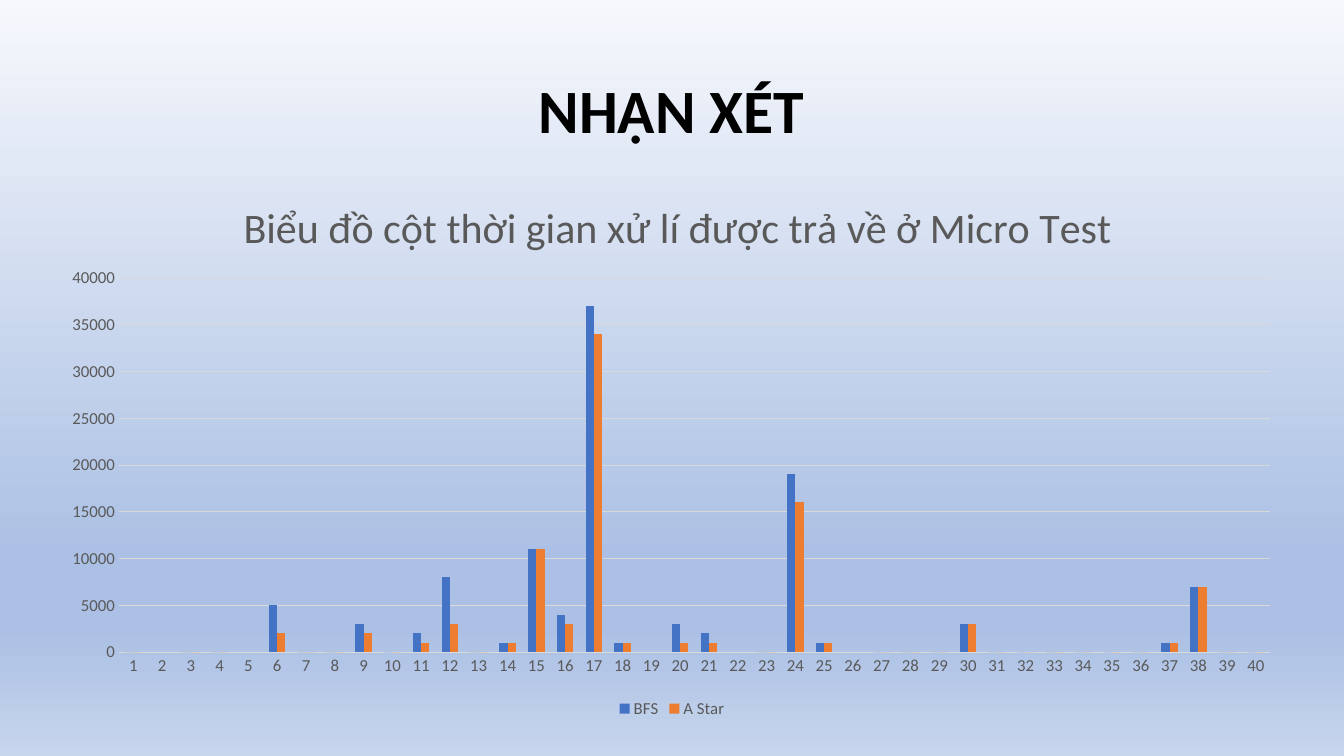
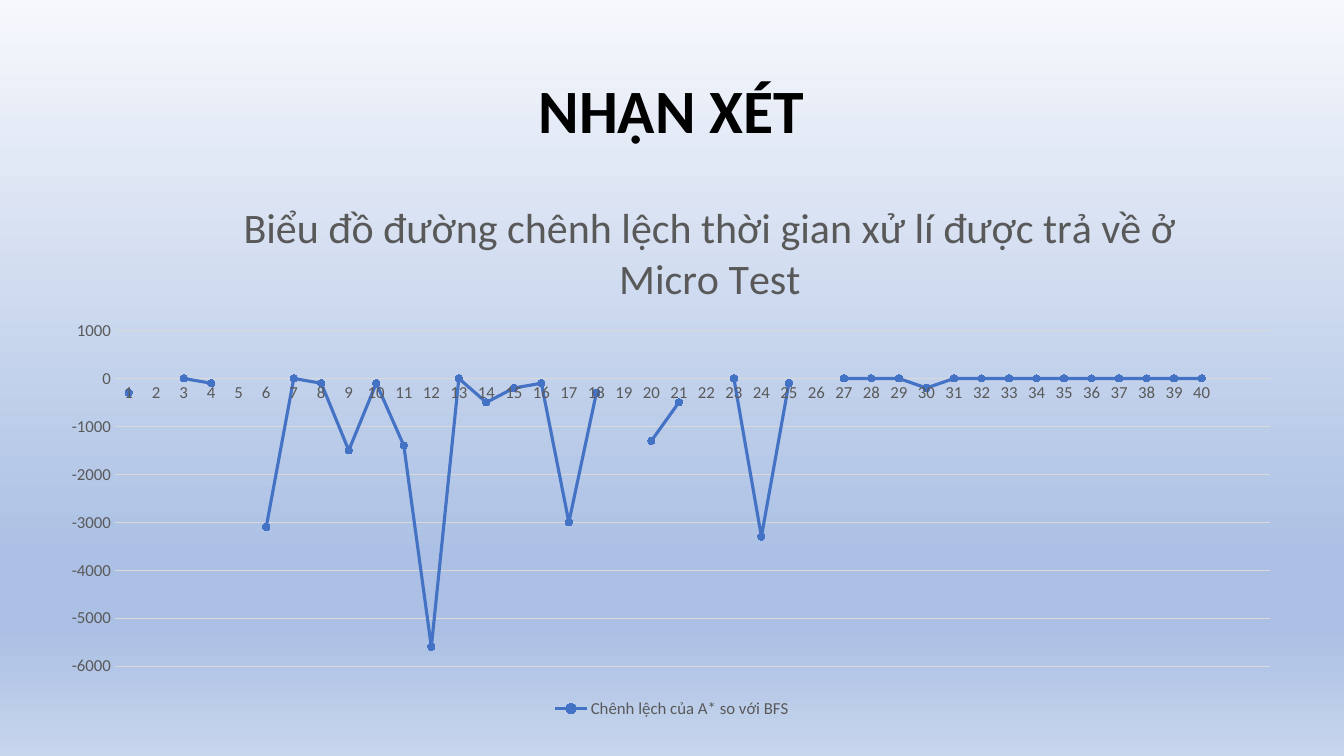
from lxml import etree
from pptx import Presentation
from pptx import util as u
from pptx.chart.data import CategoryChartData
from pptx.dml.color import RGBColor
from pptx.enum import chart as charts, text
from pptx.oxml.ns import qn

# Content
HEADING = "NHẬN XÉT"
TESTS = [str(number) for number in range(1, 41)]
N = None
BFS = [0, N, 0, 0, N, 5000, 0, 0, 3000, 0,
       2000, 8000, 0, 1000, 11000, 4000, 37000, 1000, N, 3000,
       2000, N, 0, 19000, 1000, N, 0, 0, 0, 3000,
       0, 0, 0, 0, 0, 0, 1000, 7000, 0, 0]
A_STAR = [0, N, 0, 0, N, 2000, 0, 0, 2000, 0,
          1000, 3000, 0, 1000, 11000, 3000, 34000, 1000, N, 1000,
          1000, N, 0, 16000, 1000, N, 0, 0, 0, 3000,
          0, 0, 0, 0, 0, 0, 1000, 7000, 0, 0]
DIFFERENCE = [-300, N, 0, -100, N, -3100, 0, -100, -1500, -100,
              -1400, -5600, 0, -500, -200, -100, -3000, -300, N, -1300,
              -500, N, 0, -3300, -100, N, 0, 0, 0, -200,
              0, 0, 0, 0, 0, 0, 0, 0, 0, 0]
# "plot" is left, top, width, height in inches inside the chart
SLIDES = [
    {"title": "Biểu đồ cột thời gian xử lí được trả về ở Micro Test",
     "type": charts.XL_CHART_TYPE.COLUMN_CLUSTERED, "categories": TESTS,
     "series": {"BFS": BFS, "A Star": A_STAR},
     "scale": (0, 40000, 5000), "plot": (0.71, 0.97, 11.42, 3.71)},
    {"title": "Biểu đồ đường chênh lệch thời gian xử lí được trả về ở Micro Test",
     "type": charts.XL_CHART_TYPE.LINE_MARKERS, "categories": TESTS + ["", ""],
     "series": {"Chênh lệch của A* so với BFS": DIFFERENCE + [N, N]},
     "scale": (-6000, 1000, 1000), "plot": (0.67, 1.49, 11.46, 3.33)},
]

# Shared look
FONT = "Calibri"
BLACK, GREY, GRID = "000000", "595959", "D9D9D9"
SERIES_COLORS = ["4472C4", "ED7D31"]
BACKGROUND = [(0, "F6F8FC"), (74, "ABC0E4"), (83, "ABC0E4"), (100, "C7D5ED")]
TITLE_BOX = (0.91, 0.4, 11.5, 1.45)
CHART_BOX = (0.47, 1.79, 12.39, 5.38)
CHART_TITLE_CORNER = (1.87, 0.1)


def color(value):
    return RGBColor.from_string(value)


def inches(box):
    return [u.Inches(value) for value in box]


def set_all(target, **values):
    for name, value in values.items():
        setattr(target, name, value)


def style_font(font, size, value, bold=False):
    set_all(font, name=FONT, size=u.Pt(size), bold=bold)
    font.color.rgb = color(value)


def style_line(line, value, width):
    line.color.rgb = color(value)
    line.width = u.Pt(width)


def paint_background(master):
    fill = master.background.fill
    fill.gradient()
    fill.gradient_angle = 270
    stops = master.element.find(".//" + qn("a:gsLst"))
    for stop in list(stops):
        stops.remove(stop)
    for position, value in BACKGROUND:
        stop = etree.SubElement(stops, qn("a:gs"), pos=str(position * 1000))
        etree.SubElement(stop, qn("a:srgbClr"), val=value)


def place_part(part, box, index, target=()):
    """Pin a chart part; its layout element belongs at the given child index."""
    layout = part.find(qn("c:layout"))
    if layout is None:
        layout = etree.Element(qn("c:layout"))
        part.insert(index, layout)
    manual = etree.SubElement(layout, qn("c:manualLayout"))
    shares = [length / full for length, full in zip(box, CHART_BOX[2:] * 2)]
    settings = [*target, ("xMode", "edge"), ("yMode", "edge"), *zip("xywh", shares)]
    for name, value in settings:
        etree.SubElement(manual, qn("c:" + name), val=str(value))


def style_series(series, value):
    if hasattr(series, "marker"):
        series.smooth = False
        style_line(series.format.line, value, 2.25)
        set_all(series.marker, style=charts.XL_MARKER_STYLE.CIRCLE, size=5)
        series.marker.format.fill.solid()
        series.marker.format.fill.fore_color.rgb = color(value)
        style_line(series.marker.format.line, value, 0.75)
    else:
        series.invert_if_negative = False
        series.format.fill.solid()
        series.format.fill.fore_color.rgb = color(value)


def add_title(slide):
    title = slide.shapes.title
    set_all(title, **dict(zip(("left", "top", "width", "height"), inches(TITLE_BOX))))
    title.text_frame.text = HEADING
    title.text_frame.vertical_anchor = text.MSO_ANCHOR.MIDDLE
    paragraph = title.text_frame.paragraphs[0]
    set_all(paragraph, alignment=text.PP_ALIGN.CENTER, line_spacing=0.9)
    style_font(paragraph.runs[0].font, 44, BLACK, bold=True)


def add_chart(slide, content):
    data = CategoryChartData()
    data.categories = content["categories"]
    for name, values in content["series"].items():
        data.add_series(name, values)
    chart = slide.shapes.add_chart(content["type"], *inches(CHART_BOX), data).chart
    style_font(chart.font, 10, BLACK)

    # Title and legend
    chart.chart_title.text_frame.text = content["title"]
    chart.chart_title.include_in_layout = False
    run = chart.chart_title.text_frame.paragraphs[0].runs[0]
    style_font(run.font, 30, GREY)
    chart.has_legend = True
    set_all(chart.legend, position=charts.XL_LEGEND_POSITION.BOTTOM, include_in_layout=False)
    style_font(chart.legend.font, 12, GREY)

    # Axes
    for axis in (chart.category_axis, chart.value_axis):
        set_all(axis, major_tick_mark=charts.XL_TICK_MARK.NONE,
                minor_tick_mark=charts.XL_TICK_MARK.NONE)
        style_font(axis.tick_labels.font, 12, GREY)
    style_line(chart.category_axis.format.line, GRID, 0.75)
    value_axis = chart.value_axis
    value_axis.format.line.fill.background()
    style_line(value_axis.major_gridlines.format.line, GRID, 0.75)
    low, high, step = content["scale"]
    set_all(value_axis, minimum_scale=low, maximum_scale=high, major_unit=step)

    # Series
    plot = chart.plots[0]
    plot.vary_by_categories = False
    if hasattr(plot, "gap_width"):
        set_all(plot, gap_width=150, overlap=0)
    for series, value in zip(plot.series, SERIES_COLORS):
        style_series(series, value)

    # Positions inside the chart
    chart_element = chart.element.find(qn("c:chart"))
    place_part(chart_element.find(qn("c:title")), CHART_TITLE_CORNER, 1)
    place_part(chart_element.find(qn("c:plotArea")), content["plot"], 0,
               [("layoutTarget", "inner")])


def main():
    presentation = Presentation()
    set_all(presentation, slide_width=u.Inches(13.33), slide_height=u.Inches(7.5))
    paint_background(presentation.slide_master)
    for content in SLIDES:
        slide = presentation.slides.add_slide(presentation.slide_layouts[5])
        add_chart(slide, content)
        add_title(slide)
    presentation.save("out.pptx")


if __name__ == "__main__":
    main()
